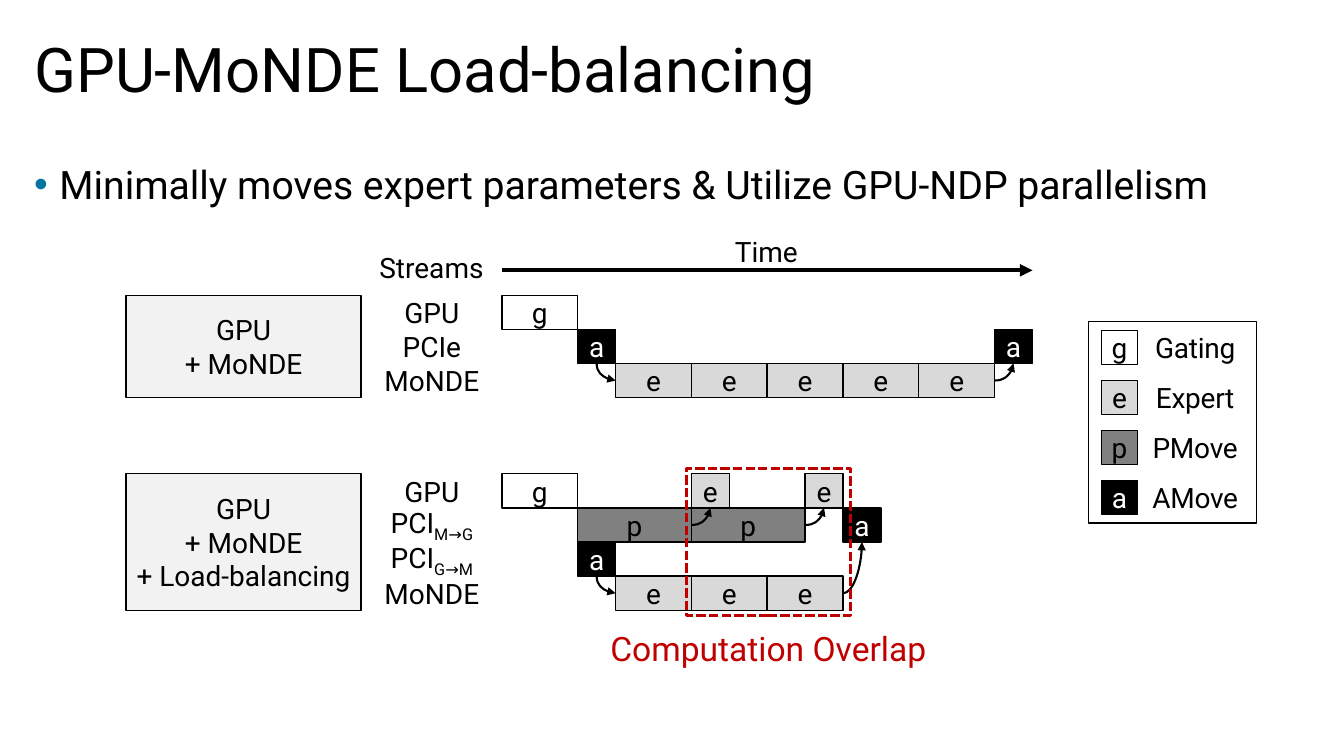
from dataclasses import dataclass

from pptx import Presentation
from pptx.dml.color import RGBColor
from pptx.enum import dml, shapes, text
from pptx.oxml import ns, xmlchemy as xc
from pptx.util import Cm, Pt

BLACK = RGBColor(0x00, 0x00, 0x00)
WHITE = RGBColor(0xFF, 0xFF, 0xFF)
PALE = RGBColor(0xF2, 0xF2, 0xF2)
LIGHT = RGBColor(0xD9, 0xD9, 0xD9)
GRAY = RGBColor(0x80, 0x80, 0x80)
RED = RGBColor(0xC0, 0x00, 0x00)
FONT = "Roboto"
LEFT, MID = text.PP_ALIGN.LEFT, text.PP_ALIGN.CENTER

# Timeline grid in centimetres: one step is one expert run
START, STEP, ROW = 12.65, 1.91, 0.86
FILLS = {"g": WHITE, "e": LIGHT, "p": GRAY, "a": BLACK}


@dataclass
class Task:
    kind: str
    step: float
    row: int
    span: float


@dataclass
class Flow:
    """A curved arrow, in steps and rows of its timeline."""
    x1: float
    y1: float
    x2: float
    y2: float


@dataclass
class Plan:
    top: float
    name: list[str]
    streams: list[str]  # text after "_" is set as subscript
    tasks: list[Task]
    flows: list[Flow]


PLANS = [
    Plan(7.44, ["GPU", "+ MoNDE"], ["GPU", "PCIe", "MoNDE"],
         [Task("g", 0, 0, 1), Task("a", 1, 1, 0.5), Task("a", 6.5, 1, 0.5)]
         + [Task("e", 1.5 + i, 2, 1) for i in range(5)],
         [Flow(1.25, 2, 1.5, 2.5), Flow(6.5, 2.5, 6.75, 2)]),
    Plan(11.94, ["GPU", "+ MoNDE", "+ Load-balancing"],
         ["GPU", "PCI_M→G", "PCI_G→M", "MoNDE"],
         [Task("g", 0, 0, 1), Task("a", 1, 2, 0.5), Task("a", 4.5, 1, 0.5),
          Task("p", 1, 1, 1.5), Task("p", 2.5, 1, 1.5)]
         + [Task("e", 1.5 + i, 3, 1) for i in range(3)]
         + [Task("e", 2.5, 0, 0.5), Task("e", 4, 0, 0.5)],
         [Flow(1.25, 3, 1.5, 3.5), Flow(2.5, 1.5, 2.75, 1),
          Flow(4, 1.5, 4.25, 1), Flow(4.5, 3.5, 4.75, 2)]),
]
LEGEND = [("g", "Gating"), ("e", "Expert"), ("p", "PMove"), ("a", "AMove")]


def write(frame, lines: list[str], *, size: float = 20, color=BLACK, align=MID,
          anchor=text.MSO_ANCHOR.MIDDLE, inset: bool = False,
          spacing: float | None = None, track: int = 0, bullet: str = "") -> None:
    frame.word_wrap = True
    frame.auto_size = text.MSO_AUTO_SIZE.NONE
    frame.vertical_anchor = anchor
    if not inset:
        frame.margin_left = frame.margin_right = 0
        frame.margin_top = frame.margin_bottom = 0
    for i, line in enumerate(lines):
        para = frame.add_paragraph() if i else frame.paragraphs[0]
        para.alignment = align
        if spacing:
            para.line_spacing = spacing
        if bullet:
            props = para._p.get_or_add_pPr()
            props.set("marL", str(Cm(0.64)))
            props.set("indent", str(-Cm(0.64)))
            tint = xc.OxmlElement("a:buClr")
            rgb = xc.OxmlElement("a:srgbClr")
            rgb.set("val", bullet)
            tint.append(rgb)
            face = xc.OxmlElement("a:buFont")
            face.set("typeface", "Arial")
            mark = xc.OxmlElement("a:buChar")
            mark.set("char", "•")
            props.extend([tint, face, mark])
        base, _, sub = line.partition("_")
        for part in filter(None, (base, sub)):
            run = para.add_run()
            run.text = part
            run.font.name, run.font.size = FONT, Pt(size)
            run.font.color.rgb = color
            props = run._r.get_or_add_rPr()
            if track:
                props.set("spc", str(track))
            if part is sub:
                props.set("baseline", "-25000")


def label(slide, x: float, y: float, w: float, h: float,
          lines: list[str], **form) -> None:
    box = slide.shapes.add_textbox(Cm(x), Cm(y), Cm(w), Cm(h))
    write(box.text_frame, lines, **form)


def block(slide, x: float, y: float, w: float, h: float, fill=None,
          lines: list[str] | None = None, *, edge=BLACK, width: float = 1, **form):
    box = slide.shapes.add_shape(shapes.MSO_SHAPE.RECTANGLE,
                                 Cm(x), Cm(y), Cm(w), Cm(h))
    box.shadow.inherit = False
    if fill is None:
        box.fill.background()
    else:
        box.fill.solid()
        box.fill.fore_color.rgb = fill
    box.line.color.rgb, box.line.width = edge, Pt(width)
    if lines:
        write(box.text_frame, lines, **form)
    return box


def cell(slide, kind: str, x: float, y: float, w: float) -> None:
    block(slide, x, y, w, ROW, FILLS[kind], [kind],
          color=WHITE if kind == "a" else BLACK)


def arrow(slide, x1: float, y1: float, x2: float, y2: float, *,
          width: float, curve: bool = False) -> None:
    down = curve and y2 > y1
    if down:  # leaves vertically: the same bend, turned by 270 degrees
        mx, my, dx, dy = (x1 + x2) / 2, (y1 + y2) / 2, (x2 - x1) / 2, (y2 - y1) / 2
        x1, y1, x2, y2 = mx + dy, my - dx, mx - dy, my + dx
    kind = shapes.MSO_CONNECTOR.CURVE if curve else shapes.MSO_CONNECTOR.STRAIGHT
    link = slide.shapes.add_connector(kind, Cm(x1), Cm(y1), Cm(x2), Cm(y2))
    link.line.color.rgb, link.line.width = BLACK, Pt(width)
    props = link._element.spPr
    if curve:
        props.find(ns.qn("a:prstGeom")).set("prst", "curvedConnector2")
    if down:
        props.find(ns.qn("a:xfrm")).set("rot", "16200000")
    tip = xc.OxmlElement("a:tailEnd")
    tip.set("type", "triangle")
    props.find(ns.qn("a:ln")).append(tip)
    props.append(xc.OxmlElement("a:effectLst"))


def draw(slide, plan: Plan) -> None:
    block(slide, 3.18, plan.top, 5.92, ROW * len(plan.streams), PALE, plan.name)
    for i, name in enumerate(plan.streams):
        label(slide, 9.4, plan.top + i * ROW, 2.97, ROW, [name])
    for task in plan.tasks:
        cell(slide, task.kind, START + task.step * STEP,
             plan.top + task.row * ROW, task.span * STEP)
    for flow in plan.flows:
        arrow(slide, START + flow.x1 * STEP, plan.top + flow.y1 * ROW,
              START + flow.x2 * STEP, plan.top + flow.y2 * ROW,
              width=1.5, curve=True)


def main() -> None:
    deck = Presentation()
    deck.slide_width, deck.slide_height = Cm(33.87), Cm(19.05)
    slide = deck.slides.add_slide(deck.slide_layouts[5])

    # Title and message
    title = slide.shapes.title
    title.left, title.top = Cm(0.61), Cm(0)
    title.width, title.height = Cm(32.56), Cm(3.68)
    write(title.text_frame, ["GPU-MoNDE Load-balancing"], size=44,
          align=LEFT, inset=True, spacing=0.9)
    label(slide, 0.61, 4.04, 32.56, 1.5,
          ["Minimally moves expert parameters & Utilize GPU-NDP parallelism"],
          size=28, align=LEFT, anchor=text.MSO_ANCHOR.TOP, inset=True,
          spacing=0.9, bullet="00769E")

    # Time axis
    label(slide, 9.25, 6.45, 3.25, 0.58, ["Streams"])
    label(slide, 18.16, 5.92, 2.31, 0.81, ["Time"])
    arrow(slide, START, 6.81, START + 7 * STEP, 6.81, width=3)

    # Timelines
    for plan in PLANS:
        draw(slide, plan)

    # Legend
    block(slide, 27.43, 8.1, 4.24, 5.08, WHITE)
    for i, (kind, name) in enumerate(LEGEND):
        y = 8.33 + i * 1.26
        cell(slide, kind, 27.76, y, 0.91)
        label(slide, 28.88, y - 0.12, 2.48, 1.09, [name], track=-20)

    # Overlap mark
    mark = block(slide, 17.3, 11.81, 4.14, 3.71, edge=RED, width=2.25)
    mark.line.dash_style = dml.MSO_LINE.SQUARE_DOT
    label(slide, 15.01, 15.88, 8.71, 0.89, ["Computation Overlap"],
          size=24, color=RED)

    deck.save("out.pptx")


if __name__ == "__main__":
    main()
